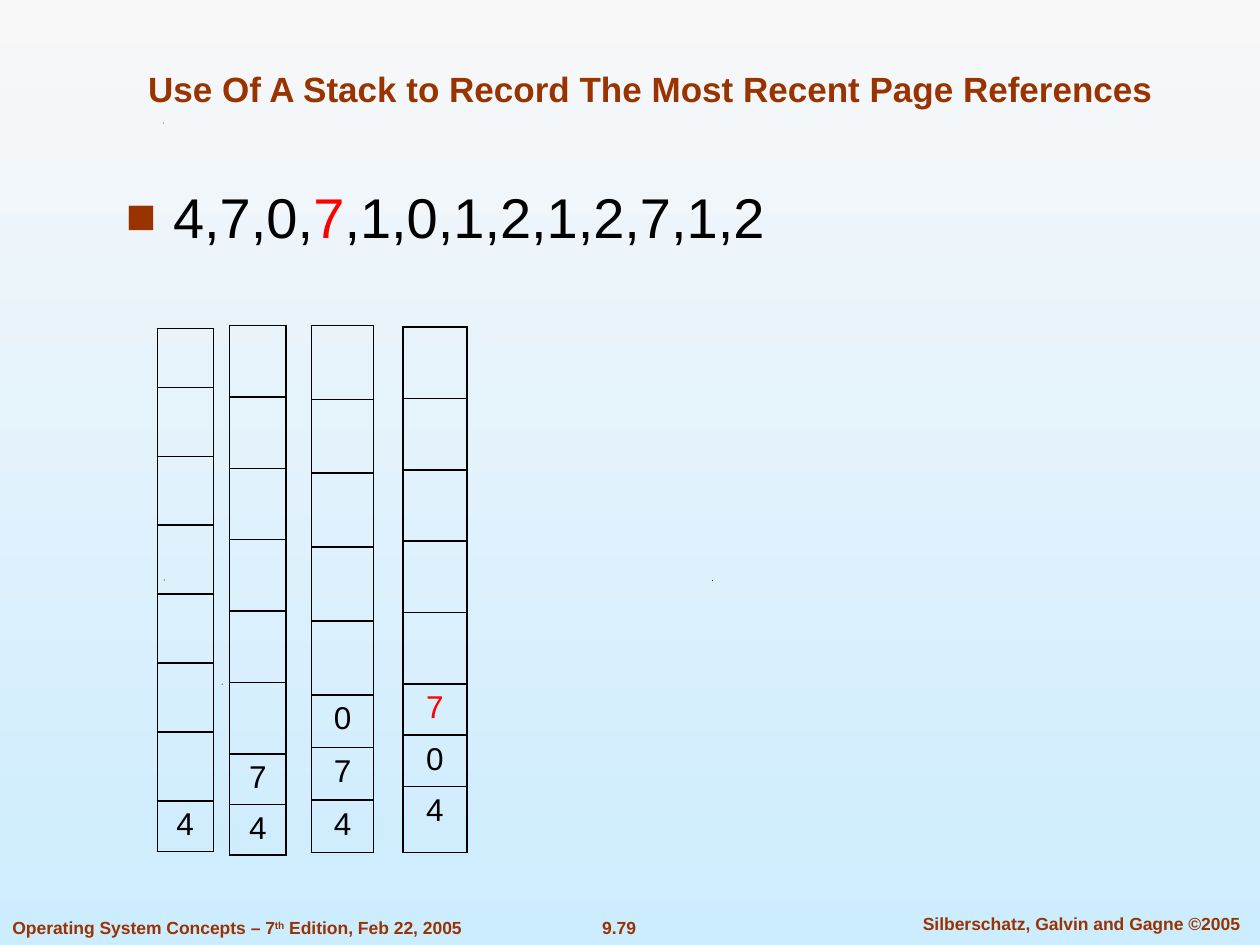
from dataclasses import dataclass

import pptx
import pptx.dml.color
import pptx.enum.text
import pptx.oxml
import pptx.oxml.ns
import pptx.util

Cm = pptx.util.Cm
Pt = pptx.util.Pt
RGBColor = pptx.dml.color.RGBColor
Align = pptx.enum.text.PP_ALIGN
Anchor = pptx.enum.text.MSO_ANCHOR

BLACK = RGBColor(0x00, 0x00, 0x00)
RED = RGBColor(0xFF, 0x00, 0x00)
RUST = RGBColor(0x99, 0x33, 0x00)
SKY_TOP = RGBColor(0xF8, 0xF8, 0xF8)
SKY_BOTTOM = RGBColor(0xCC, 0xEC, 0xFF)

FOOTER = {"name": "Arial", "size": Pt(10), "bold": True}
TITLE = {"name": "Arial", "size": Pt(20), "bold": True}
REFERENCE = {"name": "Arial", "size": Pt(32), "bold": False}
ENTRY = {"name": "Arial", "size": Pt(18), "bold": False}


@dataclass(frozen=True)
class Span:
    text: str
    color: RGBColor = RUST
    superscript: bool = False


@dataclass(frozen=True)
class Label:
    """A text box, measured in centimetres."""
    left: float
    top: float
    width: float
    height: float
    spans: tuple[Span, ...]
    font: dict
    align: Align = Align.CENTER
    anchor: Anchor = Anchor.TOP
    wrap: bool = True
    bullet: bool = False


@dataclass(frozen=True)
class Stack:
    """A one-column table whose entries fill the bottom rows, in centimetres."""
    left: float
    top: float
    width: float
    heights: tuple[float, ...]
    entries: tuple[Span, ...]


LABELS = (
    Label(11.86, 18.36, 1.24, 0.69, (Span("9.79"),), FOOTER, wrap=False),
    Label(18.03, 18.29, 7.54, 0.69, (Span("Silberschatz, Galvin and Gagne ©2005"),), FOOTER),
    Label(0, 18.36, 9.6, 0.69,
          (Span("Operating System Concepts – 7"), Span("th", superscript=True),
           Span(" Edition, Feb 22, 2005")),
          FOOTER, Align.LEFT, wrap=False),
    Label(1.9, 0.64, 22.43, 1.7,
          (Span("Use Of A Stack to Record The Most Recent Page References"),),
          TITLE, anchor=Anchor.BOTTOM),
    Label(2.29, 3.56, 20.42, 1.85,
          (Span("4,7,0,", BLACK), Span("7", RED), Span(",1,0,1,2,1,2,7,1,2", BLACK)),
          REFERENCE, Align.LEFT, bullet=True),
)

FOUR, SEVEN, ZERO = (Span(digit, BLACK) for digit in "470")
STACKS = (
    Stack(8.12, 6.59, 1.29, (1.44,) * 5 + (1.03, 1.03, 1.34), (Span("7", RED), ZERO, FOUR)),
    Stack(6.28, 6.56, 1.25, (1.49,) * 5 + (1.06,) * 3, (ZERO, SEVEN, FOUR)),
    Stack(4.63, 6.56, 1.14, (1.44,) * 6 + (1.02,) * 2, (SEVEN, FOUR)),
    Stack(3.17, 6.62, 1.13, (1.19,) + (1.39,) * 6 + (1.02,), (FOUR,)),
)

SPECKS = ((4.47, 13.78), (3.3, 11.68), (14.35, 11.69), (3.28, 2.47))
SPECK_SIZE = 0.02


def add_span(para, span: Span, font: dict) -> None:
    run = para.add_run()
    run.text = span.text
    for name, value in font.items():
        setattr(run.font, name, value)
    run.font.color.rgb = span.color
    if span.superscript:
        run.font._element.set("baseline", "30000")


def add_bullet(para) -> None:
    properties = para._p.get_or_add_pPr()
    indent = Cm(0.95)
    properties.set("marL", str(indent))
    properties.set("indent", str(-indent))
    namespace = pptx.oxml.ns.nsdecls("a")
    for xml in (
        f'<a:buClr {namespace}><a:srgbClr val="{RUST}"/></a:buClr>',
        f'<a:buSzPct {namespace} val="90000"/>',
        f'<a:buFont {namespace} typeface="Arial"/>',
        f'<a:buChar {namespace} char="■"/>',
    ):
        properties.append(pptx.oxml.parse_xml(xml))


def add_label(page, label: Label) -> None:
    box = page.shapes.add_textbox(
        Cm(label.left), Cm(label.top), Cm(label.width), Cm(label.height))
    frame = box.text_frame
    frame.word_wrap = label.wrap
    frame.vertical_anchor = label.anchor
    para = frame.paragraphs[0]
    para.alignment = label.align
    if label.bullet:
        add_bullet(para)
    for span in label.spans:
        add_span(para, span, label.font)


def add_borders(cell) -> None:
    properties = cell._tc.get_or_add_tcPr()
    for position, side in enumerate("LRTB"):
        properties.insert(position, pptx.oxml.parse_xml(
            f'<a:ln{side} {pptx.oxml.ns.nsdecls("a")} w="{Pt(1)}"><a:solidFill>'
            f'<a:srgbClr val="{BLACK}"/></a:solidFill></a:ln{side}>'))


def add_stack(page, stack: Stack) -> None:
    count = len(stack.heights)
    table = page.shapes.add_table(
        count, 1, Cm(stack.left), Cm(stack.top),
        Cm(stack.width), Cm(sum(stack.heights))).table
    table.first_row = False
    table.horz_banding = False
    for row, height in zip(table.rows, stack.heights):
        row.height = Cm(height)
        cell = row.cells[0]
        cell.fill.background()
        add_borders(cell)
    first_entry = count - len(stack.entries)
    for index, entry in enumerate(stack.entries, first_entry):
        para = table.cell(index, 0).text_frame.paragraphs[0]
        para.alignment = Align.CENTER
        add_span(para, entry, ENTRY)


def add_speck(page, left: float, top: float) -> None:
    right, bottom = left + SPECK_SIZE, top + SPECK_SIZE
    builder = page.shapes.build_freeform(Cm(left), Cm(bottom))
    builder.add_line_segments([(Cm(right), Cm(top)), (Cm(right), Cm(bottom))])
    speck = builder.convert_to_shape()
    speck.shadow.inherit = False
    speck.fill.solid()
    speck.fill.fore_color.rgb = BLACK
    speck.line.fill.background()


def paint_background(page) -> None:
    fill = page.background.fill
    fill.gradient()
    fill.gradient_angle = 270
    for stop, position, color in zip(fill.gradient_stops, (0, 1), (SKY_TOP, SKY_BOTTOM)):
        stop.position = position
        stop.color.rgb = color


def main() -> None:
    deck = pptx.Presentation()
    deck.slide_width, deck.slide_height = Cm(25.4), Cm(19.05)
    page = deck.slides.add_slide(deck.slide_layouts[6])
    paint_background(page)
    for left, top in SPECKS:
        add_speck(page, left, top)
    for label in LABELS:
        add_label(page, label)
    for stack in STACKS:
        add_stack(page, stack)
    deck.save("out.pptx")


if __name__ == "__main__":
    main()
